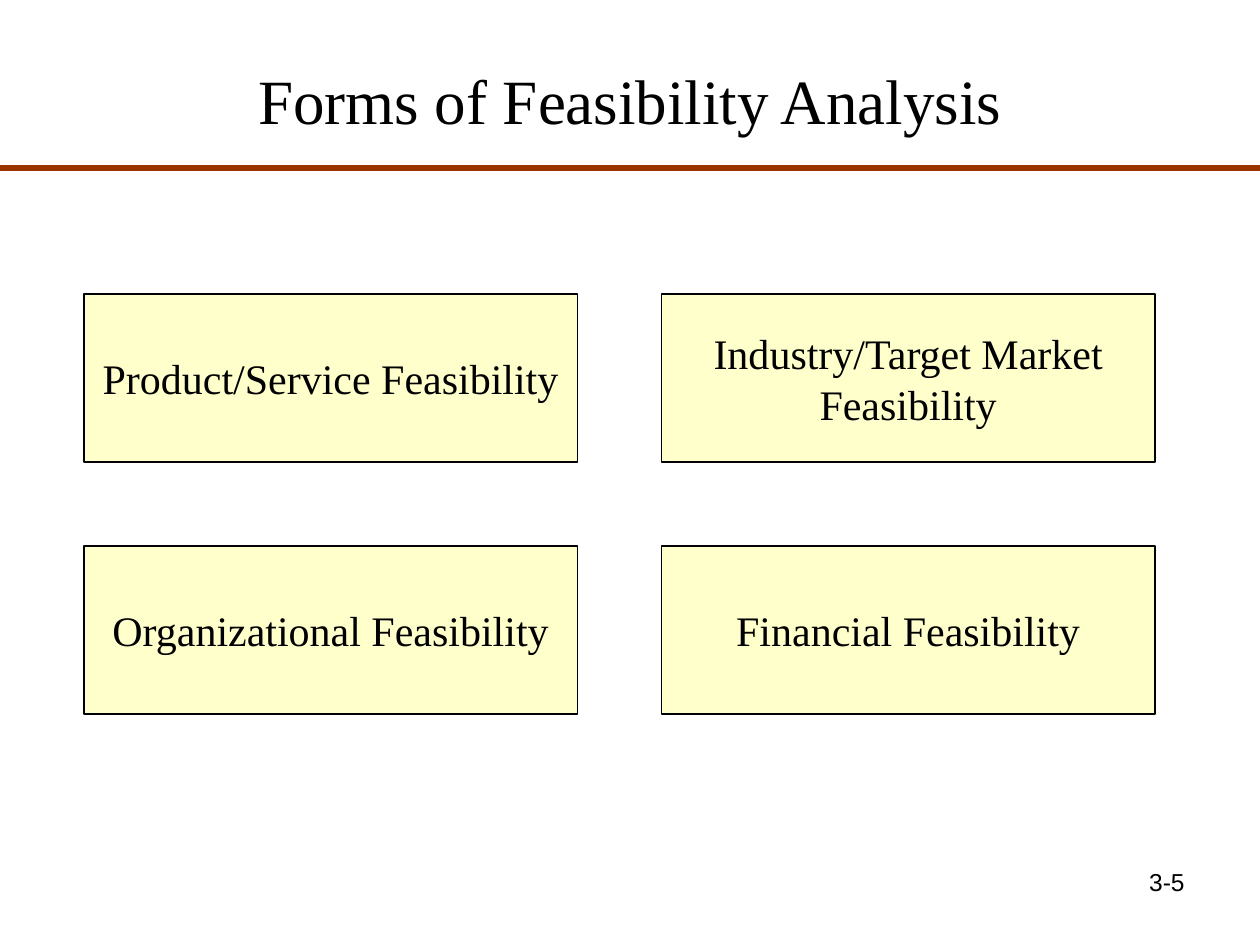
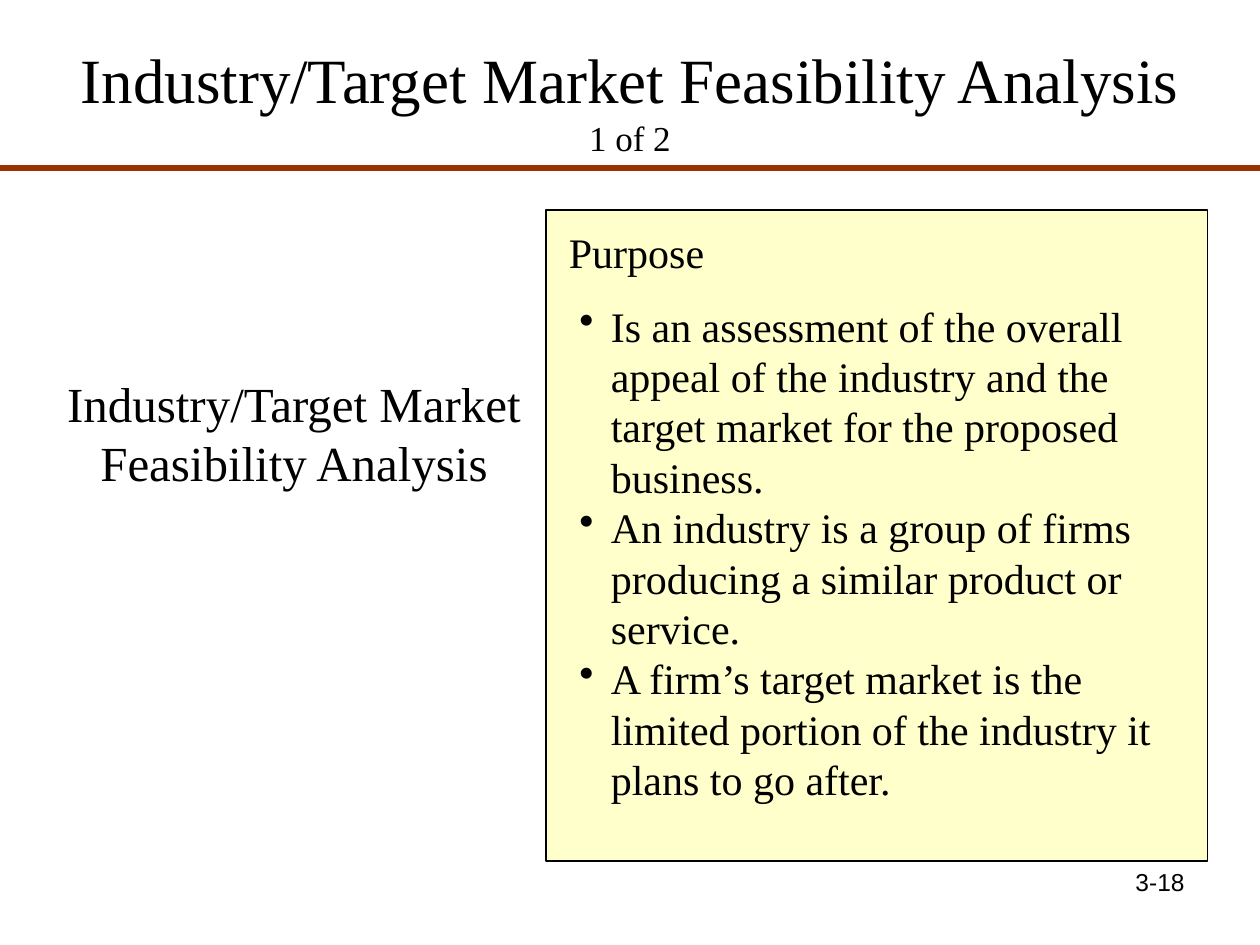
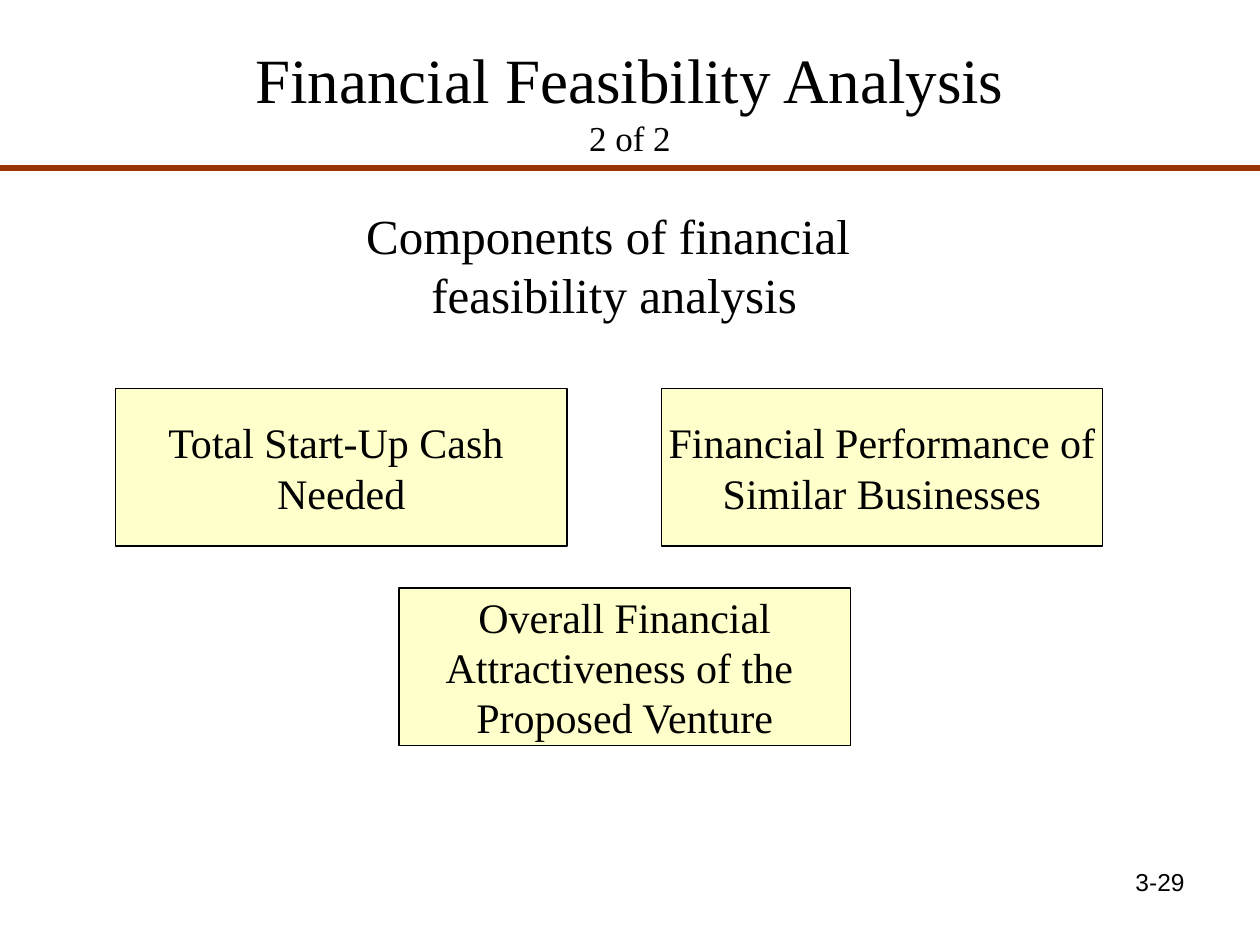
import pptx
import pptx.util
import pptx.dml.color
import pptx.enum.shapes
import pptx.enum.text
from lxml import etree

RGBColor = pptx.dml.color.RGBColor
ALIGN = pptx.enum.text.PP_ALIGN
ANCHOR = pptx.enum.text.MSO_ANCHOR

BLACK = RGBColor(0x00, 0x00, 0x00)
RUST = RGBColor(0x99, 0x33, 0x00)
CREAM = RGBColor(0xFF, 0xFF, 0xCC)
SERIF, SANS = "Times New Roman", "Arial"
TITLE_SIZE, PART_SIZE, HEADING_SIZE, BODY_SIZE, NUMBER_SIZE = 36, 20, 28, 24, 14

# The slide is a grid of 120 columns by 90 rows; a box is (column, row, columns, rows).
UNIT = pptx.util.Inches(10) // 120
TITLE_BOX = (6, 2, 108, 15)
NUMBER_BOX = (86, 82, 28, 6)
RULE_ROW = 16
BULLET_INDENT = 3


def emu(box):
    return [round(length * UNIT) for length in box]


def add_run(paragraph, text, size, font=SERIF):
    run = paragraph.add_run()
    run.text = text
    run.font.size = pptx.util.Pt(size)
    run.font.name = font
    run.font.color.rgb = BLACK


def write(frame, lines, size, align=ALIGN.LEFT, font=SERIF):
    """Fill the frame with one paragraph per line."""
    for index, line in enumerate(lines):
        paragraph = frame.add_paragraph() if index else frame.paragraphs[0]
        paragraph.alignment = align
        add_run(paragraph, line, size, font)


def add_text(slide, box, lines, size, align=ALIGN.LEFT, font=SERIF):
    frame = slide.shapes.add_textbox(*emu(box)).text_frame
    frame.word_wrap = True
    write(frame, lines, size, align, font)
    return frame


def add_card(slide, box, lines=()):
    card = slide.shapes.add_shape(pptx.enum.shapes.MSO_SHAPE.RECTANGLE, *emu(box))
    card.shadow.inherit = False
    card.fill.solid()
    card.fill.fore_color.rgb = CREAM
    card.line.color.rgb = BLACK
    card.line.width = pptx.util.Pt(0.75)
    card.text_frame.word_wrap = False
    card.text_frame.vertical_anchor = ANCHOR.MIDDLE
    write(card.text_frame, lines, BODY_SIZE, ALIGN.CENTER)


def add_rule(slide):
    left, top, width, _ = emu((0, RULE_ROW, 120, 0))
    rule = slide.shapes.add_connector(
        pptx.enum.shapes.MSO_CONNECTOR.STRAIGHT, left, top, width, top)
    rule.line.color.rgb = RUST
    rule.line.width = pptx.util.Pt(3)
    etree.SubElement(rule.line._get_or_add_ln().getparent(),
                     pptx.oxml.ns.qn("a:effectLst"))


def add_framed_slide(deck, title, number, part=None):
    """Add a slide with the shared title, rule and page number."""
    slide = deck.slides.add_slide(deck.slide_layouts[6])
    frame = add_text(slide, TITLE_BOX, [title], TITLE_SIZE, ALIGN.CENTER)
    frame.vertical_anchor = ANCHOR.MIDDLE
    if part:
        frame.paragraphs[0].add_line_break()
        add_run(frame.paragraphs[0], part, PART_SIZE)
    add_rule(slide)
    add_text(slide, NUMBER_BOX, [number], NUMBER_SIZE, ALIGN.RIGHT, SANS)
    return slide


def add_bullet(paragraph):
    properties = paragraph._p.get_or_add_pPr()
    indent = BULLET_INDENT * UNIT
    properties.set("marL", str(indent))
    properties.set("indent", str(-indent))
    bullet = etree.SubElement(properties, pptx.oxml.ns.qn("a:buChar"))
    bullet.set("char", "•")


def add_form_cards(slide, box, forms, gap=8):
    """Lay the forms out in two columns and two rows that fill the box."""
    left, top, width, height = box
    card_width, card_height = (width - gap) / 2, (height - gap) / 2
    for index, lines in enumerate(forms):
        row, column = divmod(index, 2)
        add_card(slide, (left + column * (card_width + gap + 0),
                         top + row * (card_height + gap),
                         card_width, card_height), lines)


def add_purpose_panel(slide, box, heading, points):
    left, top, width, height = box
    add_card(slide, box)
    add_text(slide, (left + 1, top + 1, width - 2, 6), [heading], BODY_SIZE)
    frame = add_text(slide, (left + 2, top + 8, width - 4, height - 13), points, BODY_SIZE)
    for paragraph in frame.paragraphs:
        add_bullet(paragraph)


def add_component_cards(slide, box, cash, performance, overall):
    """Place two components side by side and the overall one below them."""
    left, top, width, height = box
    card_width, card_height = 43, 15
    add_card(slide, (left, top, card_width, card_height), cash)
    add_card(slide, (left + width - 42, top, 42, card_height), performance)
    add_card(slide, (left + 27, top + height - card_height, card_width, card_height), overall)


def main():
    deck = pptx.Presentation()
    deck.slide_width, deck.slide_height = emu((120, 90))

    forms = add_framed_slide(deck, "Forms of Feasibility Analysis", "3-5")
    add_form_cards(forms, (8, 28, 102, 40), [
        ["Product/Service Feasibility"],
        ["Industry/Target Market", "Feasibility"],
        ["Organizational Feasibility"],
        ["Financial Feasibility"],
    ])

    market = add_framed_slide(
        deck, "Industry/Target Market Feasibility Analysis", "3-18", "1 of 2")
    add_text(market, (2, 35, 52, 12.5), ["Industry/Target Market Feasibility Analysis"],
             HEADING_SIZE, ALIGN.CENTER)
    add_purpose_panel(market, (52, 20, 63, 62), "Purpose", [
        "Is an assessment of the overall appeal of the industry and the "
        "target market for the proposed business.",
        "An industry is a group of firms producing a similar product or service.",
        "A firm’s target market is the limited portion of the industry it plans to go after.",
    ])

    financial = add_framed_slide(deck, "Financial Feasibility Analysis", "3-29", "2 of 2")
    add_text(financial, (13, 19, 91, 12.5),
             ["Components of financial ", "feasibility analysis"],
             HEADING_SIZE, ALIGN.CENTER)
    add_component_cards(
        financial, (11, 37, 94, 34),
        cash=["Total Start-Up Cash ", "Needed"],
        performance=["Financial Performance of", "Similar Businesses"],
        overall=["Overall Financial", "Attractiveness of the ", "Proposed Venture"])

    deck.save("out.pptx")


if __name__ == "__main__":
    main()
